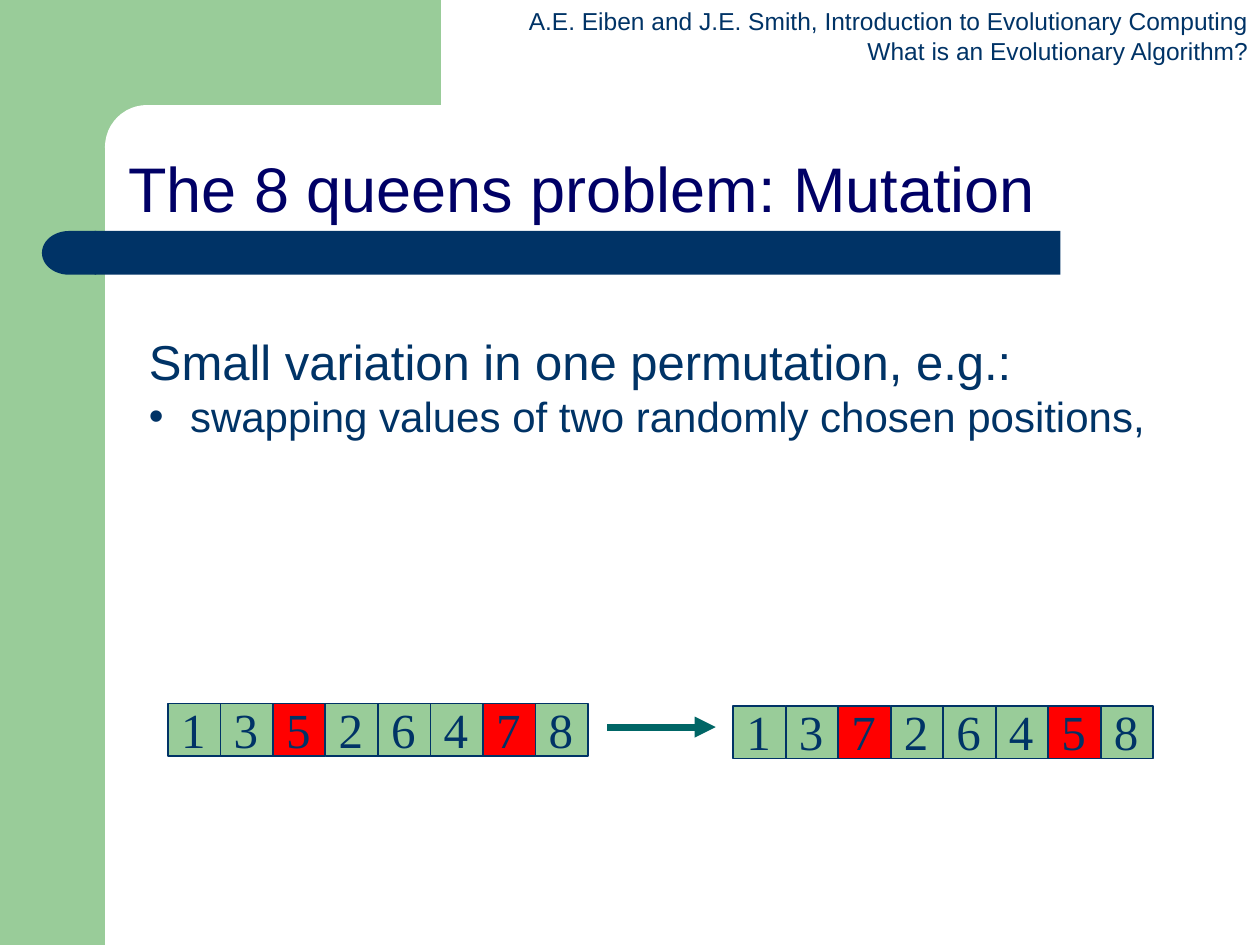
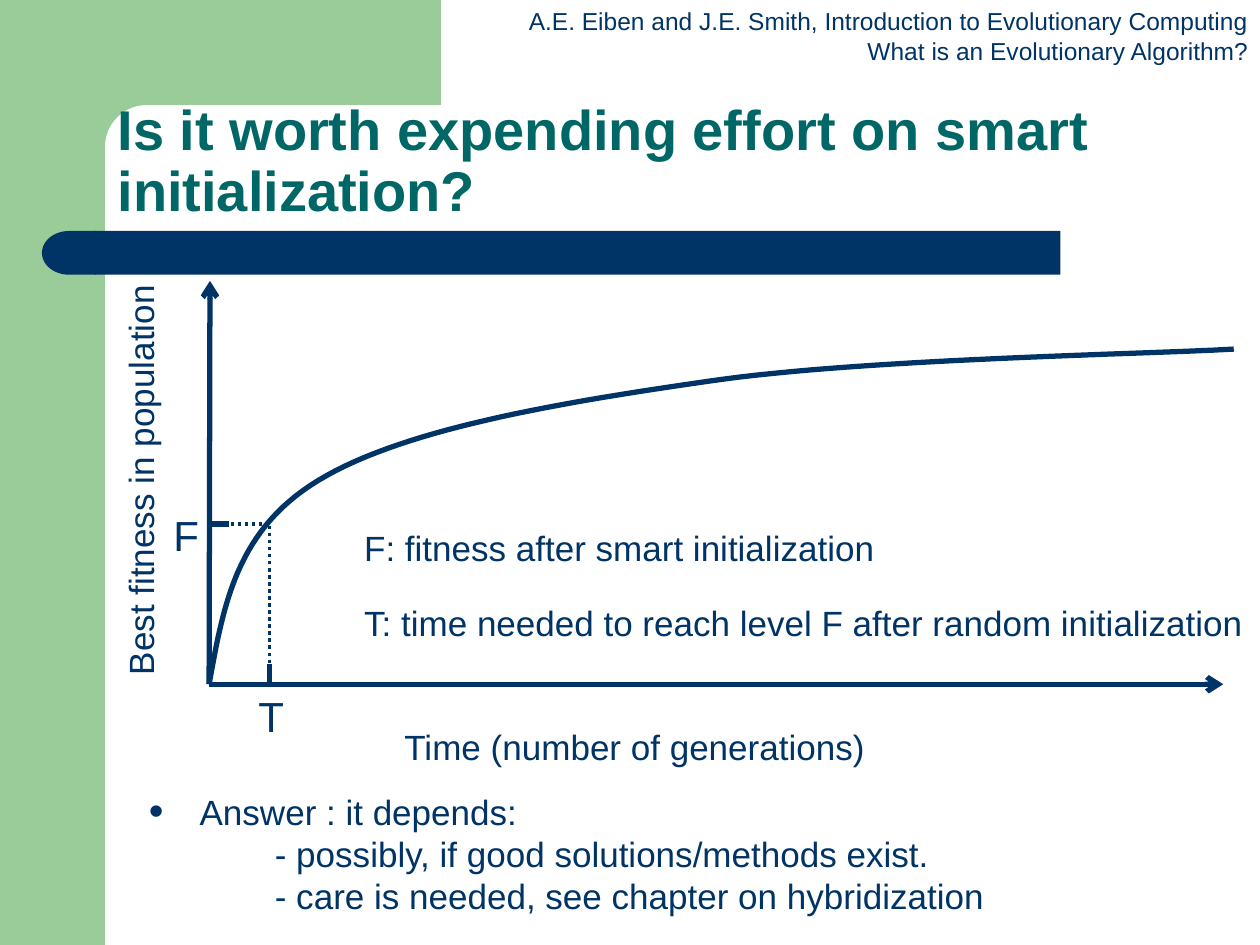
"""Build two slides on mutation and smart initialization."""
import pptx
import pptx.util
import pptx.dml.color
import pptx.enum.dml
import pptx.enum.shapes
import pptx.enum.text
import pptx.oxml

Pt = pptx.util.Pt
RGB = pptx.dml.color.RGBColor
KIND = pptx.enum.shapes.MSO_SHAPE
ALIGN = pptx.enum.text.PP_ALIGN
ANCHOR = pptx.enum.text.MSO_ANCHOR
NS = 'xmlns:a="http://schemas.openxmlformats.org/drawingml/2006/main"'

GREEN = RGB(0x99, 0xCC, 0x99)
NAVY = RGB(0x00, 0x33, 0x66)
INDIGO = RGB(0x00, 0x00, 0x66)
TEAL = RGB(0x00, 0x66, 0x66)
RED = RGB(0xFF, 0x00, 0x00)
WHITE = RGB(0xFF, 0xFF, 0xFF)


def write(box, *lines, size=20, font="Arial", color=NAVY, bold=False, align=ALIGN.LEFT,
          anchor=ANCHOR.TOP, wrap=True, space=None):
    """Fill a shape with lines, each a string or (text, size, indent, bullet size)."""
    frame = box.text_frame
    frame.auto_size = pptx.enum.text.MSO_AUTO_SIZE.NONE
    frame.word_wrap = wrap
    frame.vertical_anchor = anchor
    for i, line in enumerate(lines):
        text, points, indent, dot = (line, size, 0, 0) if isinstance(line, str) else line
        para = frame.paragraphs[0] if i == 0 else frame.add_paragraph()
        para.alignment = align
        para.line_spacing = space
        run = para.add_run()
        run.text = text
        run.font.size = Pt(points)
        run.font.name = font
        run.font.bold = bold
        run.font.color.rgb = color
        if indent:
            props = para._p.get_or_add_pPr()
            props.set("marL", str(Pt(indent)))
        if dot:
            props.set("indent", str(-Pt(indent)))
            for tag in (f'<a:buSzPct {NS} val="{dot * 1000}"/>',
                        f'<a:buFont {NS} typeface="Arial"/>',
                        f'<a:buChar {NS} char="•"/>'):
                props.append(pptx.oxml.parse_xml(tag))


def draw(slide, x1, y1, x2, y2, color=NAVY, width=3, dash=None, head=None):
    """Draw a straight line, with an arrowhead at its end if one is named."""
    line = slide.shapes.add_connector(
        pptx.enum.shapes.MSO_CONNECTOR.STRAIGHT, Pt(x1), Pt(y1), Pt(x2), Pt(y2))
    line.line.color.rgb = color
    line.line.width = Pt(width)
    if dash:
        line.line.dash_style = dash
    if head:
        line.line._get_or_add_ln().append(
            pptx.oxml.parse_xml(f'<a:tailEnd {NS} type="{head}"/>'))
    line._element.spPr.append(pptx.oxml.parse_xml(f"<a:effectLst {NS}/>"))


deck = pptx.Presentation()
deck.slide_width, deck.slide_height = Pt(720), Pt(540)

bands = [
    (KIND.RECTANGLE, 0, 0, 60, 540, GREEN),
    (KIND.RECTANGLE, 54, 0, 198, 84, GREEN),
    (KIND.ROUNDED_RECTANGLE, 60, 60, 402, 48, WHITE),
    (KIND.RECTANGLE, 54, 132, 552, 25, NAVY),
    (KIND.FLOWCHART_DELAY, 24, 132, 31, 25, NAVY),
]
heads = [
    ("The 8 queens problem: Mutation", (66, 60, 654, 72),
     dict(size=36, color=INDIGO, anchor=ANCHOR.BOTTOM)),
    ("Is it worth expending effort on smart initialization?", (60, 48, 612, 90),
     dict(size=32, color=TEAL, bold=True, anchor=ANCHOR.MIDDLE, space=0.9)),
]
for words, place, style in heads:
    slide = deck.slides.add_slide(deck.slide_layouts[5])
    for kind, x, y, w, h, color in bands:
        band = slide.shapes.add_shape(kind, Pt(x), Pt(y), Pt(w), Pt(h))
        band.shadow.inherit = False
        band.fill.solid()
        band.fill.fore_color.rgb = color
        band.line.fill.background()
        if kind == KIND.ROUNDED_RECTANGLE:
            band.adjustments[0] = 0.5
        if kind == KIND.FLOWCHART_DELAY:
            band._element.spPr.xfrm.set("flipH", "1")
    note = slide.shapes.add_textbox(Pt(295), Pt(0), Pt(425.5), Pt(41))
    write(note, "A.E. Eiben and J.E. Smith, Introduction to Evolutionary Computing",
          "What is an Evolutionary Algorithm?", size=14, align=ALIGN.RIGHT, wrap=False)
    title = slide.shapes.title
    title.left, title.top, title.width, title.height = map(Pt, place)
    write(title, words, **style)
    title.element.getparent().append(title.element)

queens, smart = deck.slides

body = queens.shapes.add_textbox(Pt(78), Pt(186), Pt(588), Pt(69))
write(body, ("Small variation in one permutation, e.g.:", 28, 0, 0),
      ("swapping values of two randomly chosen positions,", 24, 23.5, 100))

side = 30
for left, top, genes in ((96, 402, "13526478"), (419, 403.5, "13726458")):
    for i, gene in enumerate(genes):
        cell = queens.shapes.add_shape(
            KIND.RECTANGLE, Pt(left + i * side), Pt(top), Pt(side), Pt(side))
        cell.shadow.inherit = False
        cell.fill.solid()
        cell.fill.fore_color.rgb = RED if gene in "57" else GREEN
        cell.line.color.rgb = NAVY
        cell.line.width = Pt(1)
    for i, gene in enumerate(genes):
        label = queens.shapes.add_textbox(
            Pt(left + i * side + 0.5), Pt(top - 6), Pt(28), Pt(40))
        write(label, gene, size=28, font="Times New Roman", align=ALIGN.CENTER, wrap=False)
draw(queens, 347, 415.5, 409, 415.5, color=TEAL, width=4, head="triangle")

left, base, time, fit = 119.5, 391, 154, 299.5
dots = pptx.enum.dml.MSO_LINE.ROUND_DOT
draw(smart, left, base, 699, base, head="arrow")
draw(smart, left, base, 120, 160.5, head="arrow")
draw(smart, time, base, time, fit, width=2, dash=dots)
draw(smart, time, fit, left, fit, width=2, dash=dots)
draw(smart, time, base, time, 379.5)
draw(smart, left, fit, 131, fit)

arcs = [
    ((119.5, 391), (127.5, 347), (134.5, 303), (182, 274.5)),
    ((182, 274.5), (229.5, 245.5), (317, 230.5), (404, 218)),
    ((404, 218), (491, 205), (654.5, 202.5), (705, 199.5)),
]
steps = 30
points = []
for a, b, c, d in arcs:
    for i in range(1, steps + 1):
        t = i / steps
        u = 1 - t
        points.append([Pt(u**3 * p + 3 * u * u * t * q + 3 * u * t * t * r + t**3 * s)
                       for p, q, r, s in zip(a, b, c, d)])
path = smart.shapes.build_freeform(Pt(left), Pt(base))
path.add_line_segments(points, close=False)
curve = path.convert_to_shape()
curve.shadow.inherit = False
curve.fill.background()
curve.line.color.rgb = NAVY
curve.line.width = Pt(3)

labels = [
    ("T: time needed to reach level F after random initialization", 201, 340, 519, 32, 20, 0),
    ("F: fitness after smart initialization", 201, 297.5, 383, 32, 20, 0),
    ("Time (number of generations)", 224, 411, 278, 32, 20, 0),
    ("Best fitness in population", -38, 258.5, 237, 32, 20, 270),
    ("T", 140.5, 391, 29, 36, 24, 0),
    ("F", 92, 287.5, 29, 36, 24, 0),
]
for text, x, y, w, h, size, turn in labels:
    label = smart.shapes.add_textbox(Pt(x), Pt(y), Pt(w), Pt(h))
    label.rotation = turn
    write(label, text, size=size, wrap=False)

reply = smart.shapes.add_textbox(Pt(78), Pt(448), Pt(568), Pt(84))
write(reply, ("Answer : it depends:", 20, 29, 120),
      ("- possibly, if good solutions/methods exist.", 20, 72, 0),
      ("- care is needed, see chapter on hybridization", 20, 72, 0))
deck.save("out.pptx")
